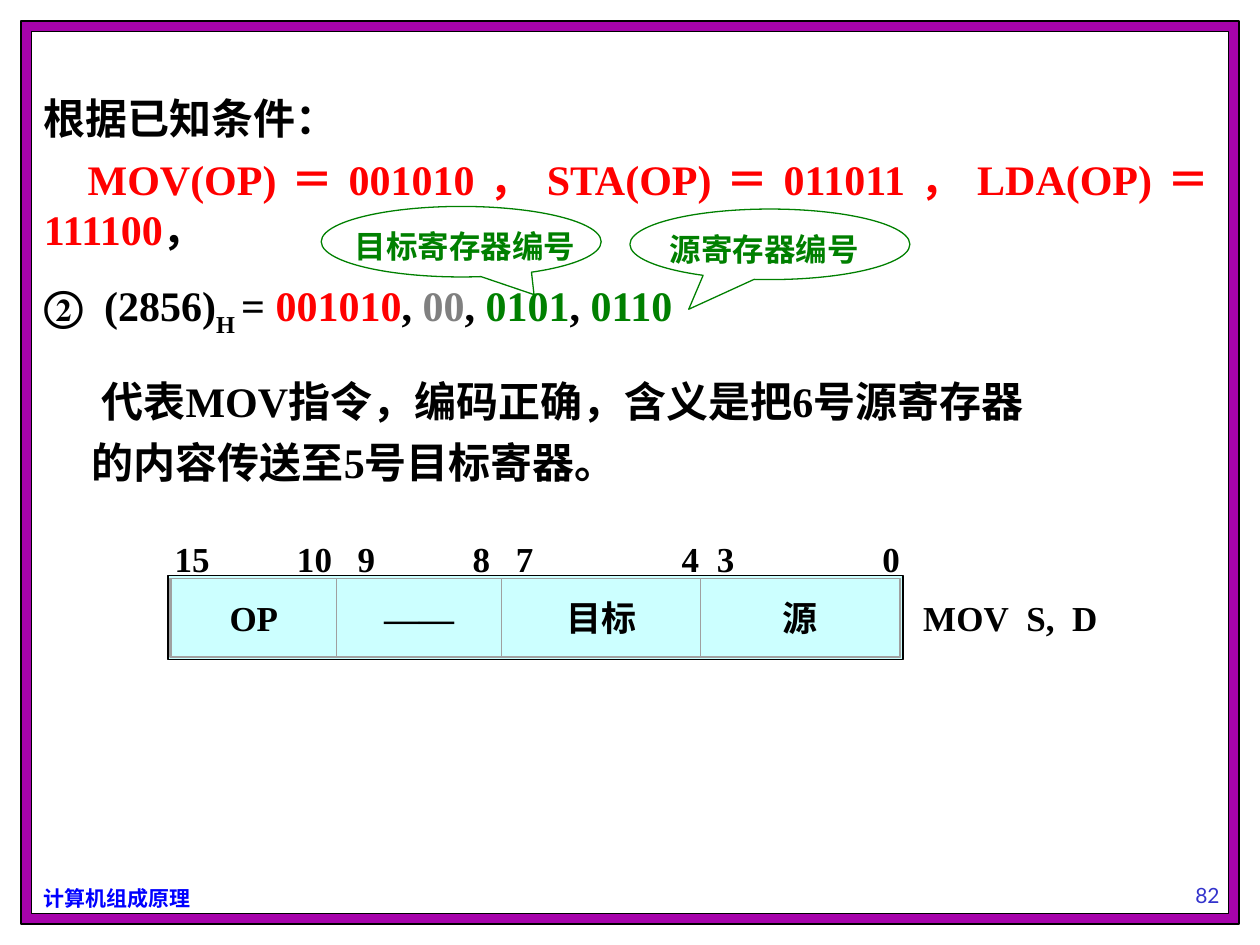
from dataclasses import dataclass
from itertools import accumulate

from lxml.etree import SubElement
from pptx import Presentation
from pptx.dml.color import RGBColor
from pptx.enum.shapes import MSO_SHAPE as Preset
from pptx.enum.text import MSO_ANCHOR as Anchor, PP_ALIGN as Align
from pptx.oxml.ns import qn
from pptx.util import Pt


@dataclass(frozen=True)
class Theme:
    serif: str = "Times New Roman"
    chinese: str = "Noto Sans CJK SC"
    sans: str = "Lato"
    black: str = "000000"
    white: str = "FFFFFF"
    purple: str = "A603AB"
    red: str = "FF0000"
    green: str = "008000"
    gray: str = "808080"
    rule: str = "A0A0A0"
    cyan: str = "CCFFFF"
    blue: str = "0000FF"
    indigo: str = "3333CC"
    body: float = 24
    label: float = 20
    note: float = 18
    footer: float = 12


THEME = Theme()


@dataclass(frozen=True)
class Area:
    left: float
    top: float
    width: float
    height: float

    def lengths(self) -> tuple:
        return Pt(self.left), Pt(self.top), Pt(self.width), Pt(self.height)


@dataclass(frozen=True)
class Span:
    text: str
    color: str = THEME.black
    size: float = THEME.body
    font: str = THEME.serif
    bold: bool = True
    subscript: bool = False
    spacing: float = 0


@dataclass(frozen=True)
class Line:
    spans: tuple[Span, ...]
    align: Align = Align.LEFT
    before: float = 0
    margin: float = 0
    indent: float = 0


@dataclass(frozen=True)
class Callout:
    area: Area
    tip: tuple[float, float]
    text: str
    insets: tuple[float, float]  # left, right


@dataclass(frozen=True)
class Field:
    name: str
    width: float
    high: str
    low: str
    insets: tuple[float, float]  # gaps from the cell sides to the bit numbers


def write_line(para, line: Line) -> None:
    para.alignment = line.align
    para.space_before = Pt(line.before)
    properties = para._p.get_or_add_pPr()
    properties.set("marL", str(Pt(line.margin)))
    properties.set("indent", str(Pt(line.indent)))
    for part in line.spans:
        span = para.add_run()
        span.text = part.text
        span.font.name = part.font
        span.font.size = Pt(part.size)
        span.font.bold = part.bold
        span.font.color.rgb = RGBColor.from_string(part.color)
        run_properties = span._r.get_or_add_rPr()
        SubElement(run_properties, qn("a:ea"), typeface=THEME.chinese)
        if part.subscript:
            run_properties.set("baseline", "-30000")
        if part.spacing:
            run_properties.set("spc", str(round(part.spacing * 100)))


def add_text(page, area: Area, *lines: Line, anchor: Anchor = Anchor.TOP) -> None:
    frame = page.shapes.add_textbox(*area.lengths()).text_frame
    frame.word_wrap = True
    frame.vertical_anchor = anchor
    for number, line in enumerate(lines):
        write_line(frame.add_paragraph() if number else frame.paragraphs[0], line)


def add_outline(page, area: Area, line: str, fill: str | None = None,
                weight: float = 0.75, preset: Preset = Preset.RECTANGLE):
    shape = page.shapes.add_shape(preset, *area.lengths())
    shape.shadow.inherit = False
    if fill:
        shape.fill.solid()
        shape.fill.fore_color.rgb = RGBColor.from_string(fill)
    else:
        shape.fill.background()
    shape.line.color.rgb = RGBColor.from_string(line)
    shape.line.width = Pt(weight)
    return shape


def add_label(shape, span: Span) -> None:
    frame = shape.text_frame
    frame.word_wrap = False
    frame.vertical_anchor = Anchor.MIDDLE
    write_line(frame.paragraphs[0], Line((span,), Align.CENTER))


def add_callout(page, callout: Callout) -> None:
    shape = add_outline(page, callout.area, THEME.green,
                        preset=Preset.OVAL_CALLOUT)
    for index, value in enumerate(callout.tip):
        shape.adjustments[index] = value
    frame = shape.text_frame
    frame.margin_left, frame.margin_right = map(Pt, callout.insets)
    frame.margin_top, frame.margin_bottom = Pt(5), Pt(0)
    add_label(shape, Span(callout.text, THEME.green, THEME.note))


def add_fields(page, left: float, top: float, height: float,
               fields: tuple[Field, ...]) -> None:
    padding, bit_width, bit_rise = 7.2, 40, 27
    starts = accumulate((field.width for field in fields), initial=left)
    for start, field in zip(starts, fields):
        cell = add_outline(page, Area(start, top, field.width, height),
                           THEME.rule, weight=0)
        add_label(cell, Span(field.name, size=THEME.label))
        first = start + field.insets[0] - padding
        last = start + field.width - field.insets[1] + padding - bit_width
        for bit, bit_left, align in ((field.high, first, Align.LEFT),
                                     (field.low, last, Align.RIGHT)):
            add_text(page, Area(bit_left, top - bit_rise, bit_width, 32),
                     Line((Span(bit, size=THEME.label),), align))


def main() -> None:
    deck = Presentation()
    deck.slide_width, deck.slide_height = Pt(720), Pt(540)
    page = deck.slides.add_slide(deck.slide_layouts[6])

    # Frame and footer
    add_outline(page, Area(12, 12, 696, 516), THEME.black, THEME.purple)
    add_outline(page, Area(18, 18, 684, 504), THEME.black, THEME.white)
    add_text(page, Area(18, 502.5, 100, 21.6), Line((
        Span("计算机组成原理", THEME.blue, THEME.footer, THEME.chinese),)))
    add_text(page, Area(624, 486, 132, 36), Line((
        Span("82", THEME.indigo, THEME.footer, THEME.sans, bold=False),),
        Align.CENTER), anchor=Anchor.BOTTOM)

    # Decoded instruction and its meaning
    add_text(
        page, Area(18, 156, 674, 125),
        Line((Span("②"), Span(" ", spacing=6), Span("(2856)"),
              Span("H ", subscript=True), Span("= "),
              Span("001010", THEME.red), Span(", "), Span("00", THEME.gray),
              Span(", "), Span("0101", THEME.green), Span(", "),
              Span("0110", THEME.green))),
        Line((Span("代表MOV指令，编码正确，含义是把6号源寄存器"),),
             before=21, margin=33),
        Line((Span("的内容传送至5号目标寄器。"),), before=6, margin=27.4))

    # Instruction format
    add_outline(page, Area(96, 329, 420, 48), THEME.black, THEME.cyan)
    add_fields(page, 97.9, 330.5, 44.6, (
        Field("OP", 94.4, "15", "10", (2, 2.7)),
        Field("――", 94.4, "9", "8", (12.2, 6.7)),
        Field("目标", 113.7, "7", "4", (8.2, 1)),
        Field("源", 113.7, "3", "0", (9.4, 0))))
    add_outline(page, Area(97.2, 330.5, 417.6, 45), THEME.rule)
    gap = Span(" ", size=THEME.label, spacing=5)
    add_text(page, Area(520.5, 337.5, 130, 32), Line((
        Span("MOV", size=THEME.label), gap, Span("S,", size=THEME.label),
        gap, Span("D", size=THEME.label))))

    # Register callouts
    for callout in (
            Callout(Area(360, 119.5, 160, 40.3), (-0.29, 0.92),
                    "源寄存器编号", (0, 6.5)),
            Callout(Area(183.6, 118, 160, 40.3), (0.26, 0.75),
                    "目标寄存器编号", (4.5, 0))):
        add_callout(page, callout)

    # Known opcodes
    add_text(
        page, Area(18, 49.3, 680, 100),
        Line((Span("根据已知条件："),)),
        Line((Span("MOV(OP)＝001010，STA(OP)＝011011，LDA(OP)＝111100",
                   THEME.red), Span("，")), Align.JUSTIFY, before=6, indent=25))

    deck.save("out.pptx")


if __name__ == "__main__":
    main()
